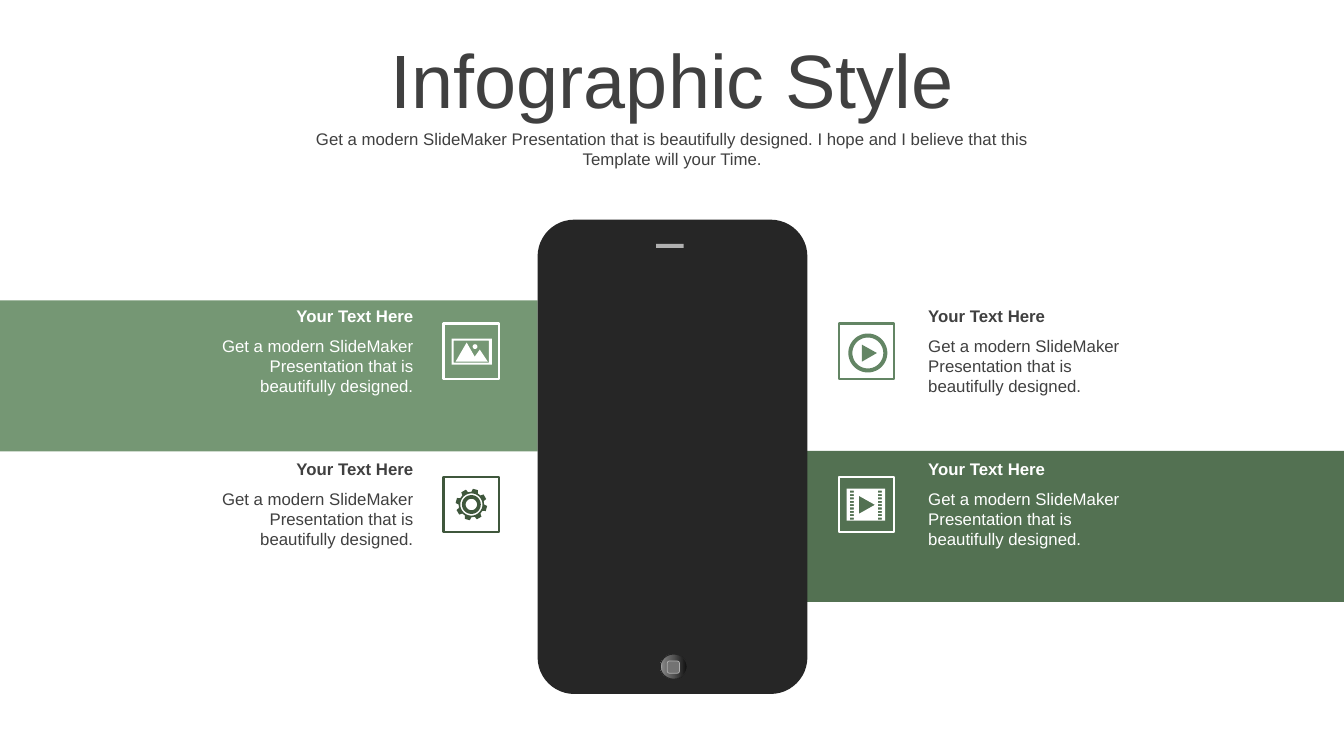
from copy import deepcopy
from dataclasses import dataclass
from math import cos, radians, sin

from pptx import Presentation
from pptx.dml.color import RGBColor
from pptx.enum.shapes import MSO_SHAPE as Shape
from pptx.enum.text import MSO_ANCHOR as Anchor, MSO_AUTO_SIZE as AutoSize, PP_ALIGN as Align
from pptx.util import Inches, Pt

Point = tuple[float, float]
Contour = list[Point]

WHITE = RGBColor(0xFF, 0xFF, 0xFF)
TEXT = RGBColor(0x40, 0x40, 0x40)
SAGE = RGBColor(0x75, 0x97, 0x74)
LEAF = RGBColor(0x63, 0x85, 0x64)
FOREST = RGBColor(0x53, 0x71, 0x52)
PINE = RGBColor(0x3F, 0x57, 0x3C)
PHONE = RGBColor(0x26, 0x26, 0x26)
SILVER = RGBColor(0xB0, 0xB0, 0xB0)
KEY = RGBColor(0x73, 0x73, 0x73)
HOME_STOPS = (
    (0, RGBColor(0x0F, 0x0F, 0x0F)),
    (0.56, RGBColor(0x59, 0x59, 0x59)),
    (0.91, RGBColor(0x80, 0x80, 0x80)),
    (1, RGBColor(0xBF, 0xBF, 0xBF)),
)

FONT = "Arial"
COLUMNS = 40  # square grid: 40 columns by 22.5 rows
ROWS = (8.94, 13.5)  # tops of the two feature rows
BAND_ROWS = (8.94, 13.42)
TILE = 1.65
BODY = "Get a modern SlideMaker Presentation that is beautifully designed."

prs = Presentation()
prs.slide_width, prs.slide_height = Inches(13.33), Inches(7.5)
slide = prs.slides.add_slide(prs.slide_layouts[6])


def grid(cells: float) -> int:
    return round(cells * prs.slide_width / COLUMNS)


@dataclass(frozen=True)
class Side:
    text_x: float
    tile_x: float
    align: Align


@dataclass(frozen=True)
class Feature:
    side: Side
    row: float
    text_color: RGBColor
    icon_color: RGBColor
    icon: list[Contour]


def paint(s, fill: RGBColor | None, line: RGBColor | None = None, width: float = 0) -> None:
    s.shadow.inherit = False
    if fill is None:
        s.fill.background()
    else:
        s.fill.solid()
        s.fill.fore_color.rgb = fill
    if line is None:
        s.line.fill.background()
    else:
        s.line.color.rgb = line
        s.line.width = Pt(width)


def add_box(kind: Shape, x: float, y: float, w: float, h: float, fill: RGBColor | None,
            line: RGBColor | None = None, width: float = 0):
    s = slide.shapes.add_shape(kind, *map(grid, (x, y, w, h)))
    paint(s, fill, line, width)
    return s


def add_text(text: str, x: float, y: float, w: float, h: float, *, size: float = 12,
             color: RGBColor = TEXT, bold: bool = False, align: Align = Align.LEFT,
             anchor: Anchor = Anchor.TOP, grow: bool = False) -> None:
    tf = slide.shapes.add_textbox(*map(grid, (x, y, w, h))).text_frame
    tf.word_wrap = True
    tf.auto_size = AutoSize.SHAPE_TO_FIT_TEXT if grow else AutoSize.NONE
    tf.vertical_anchor = anchor
    p = tf.paragraphs[0]
    p.alignment = align
    r = p.add_run()
    r.text = text
    r.font.name, r.font.size, r.font.bold = FONT, Pt(size), bold
    r.font.color.rgb = color


def rect(x: float, y: float, w: float, h: float) -> Contour:
    return [(x, y), (x + w, y), (x + w, y + h), (x, y + h)]


def polar(center: Point, radius: float, degrees: float) -> Point:
    a = radians(degrees)
    return center[0] + radius * cos(a), center[1] + radius * sin(a)


def circle(center: Point, radius: float) -> Contour:
    return [polar(center, radius, a) for a in range(0, 360, 6)]


def play_icon() -> list[Contour]:
    center = (0.87, 0.88)
    return [circle(center, 0.58), circle(center, 0.46),
            [(0.69, 0.63), (1.14, 0.88), (0.69, 1.14)]]


def film_icon() -> list[Contour]:
    holes = [rect(x, 0.42 + 0.1 * i, 0.12, 0.06) for x in (0.33, 1.17) for i in range(9)]
    return [rect(0.24, 0.36, 1.14, 0.95), [(0.6, 0.57), (0.6, 1.11), (1.08, 0.84)], *holes]


def photo_icon() -> list[Contour]:
    hills = [(0.69, 0.57), (0.93, 0.99), (1.08, 0.78), (1.32, 1.14), (0.36, 1.14)]
    return [rect(0.24, 0.45, 1.2, 0.78), rect(0.3, 0.51, 1.05, 0.66),
            hills, circle((0.94, 0.69), 0.07)]


def gear_icon() -> list[Contour]:
    center = (0.83, 0.83)
    tooth = ((-15, 0.38), (-9.5, 0.47), (9.5, 0.47), (15, 0.38))
    rim = [polar(center, radius, middle + turn)
           for middle in range(-30, 330, 45) for turn, radius in tooth]
    return [rim, *(circle(center, radius) for radius in (0.33, 0.28, 0.17))]


def add_icon(contours: list[Contour], x: float, y: float, color: RGBColor) -> None:
    """Draw all contours as one shape, so that inner contours become holes."""
    placed = [[(grid(x + px), grid(y + py)) for px, py in c] for c in contours]
    builder = slide.shapes.build_freeform(*placed[0][0])
    for i, points in enumerate(placed):
        if i:
            builder.move_to(*points[0])
        builder.add_line_segments(points[1:], close=True)
    paint(builder.convert_to_shape(), color)


def add_phone() -> None:
    body = add_box(Shape.ROUNDED_RECTANGLE, 16, 6.54, 8.03, 14.12, PHONE)
    body.adjustments[0] = 0.136
    add_box(Shape.RECTANGLE, 19.53, 7.26, 0.82, 0.12, SILVER)
    home = add_box(Shape.OVAL, 19.65, 19.47, 0.8, 0.75, PHONE, PHONE)
    home.fill.gradient()
    home.fill.gradient_angle = 180
    stops = home.fill._fill._gradFill.gsLst
    for _ in range(len(HOME_STOPS) - len(stops)):
        stops.append(deepcopy(stops[0]))
    for stop, (position, color) in zip(home.fill.gradient_stops, HOME_STOPS):
        stop.color.rgb = color
        stop.position = position
    add_box(Shape.ROUNDED_RECTANGLE, 19.86, 19.68, 0.36, 0.36, KEY, SILVER, 0.5)


def add_feature(f: Feature) -> None:
    side = f.side
    add_text("Your Text Here", side.text_x, f.row, 6.6, 0.9, color=f.text_color,
             bold=True, align=side.align, anchor=Anchor.MIDDLE)
    add_text(BODY, side.text_x, f.row + 0.9, 6.6, 2.13, color=f.text_color, align=side.align)
    tile_y = f.row + 0.69
    add_box(Shape.RECTANGLE, side.tile_x, tile_y, TILE, TILE, None, f.icon_color, 1.5)
    add_icon(f.icon, side.tile_x, tile_y, f.icon_color)


LEFT = Side(6, 13.2, Align.RIGHT)
RIGHT = Side(27.33, 24.96, Align.LEFT)
FEATURES = (
    Feature(LEFT, ROWS[0], WHITE, WHITE, photo_icon()),
    Feature(LEFT, ROWS[1], TEXT, PINE, gear_icon()),
    Feature(RIGHT, ROWS[0], TEXT, LEAF, play_icon()),
    Feature(RIGHT, ROWS[1], WHITE, WHITE, film_icon()),
)


def main() -> None:
    for x, y, color in zip((0, 24), BAND_ROWS, (SAGE, FOREST)):
        add_box(Shape.RECTANGLE, x, y, 16, 4.5, color)
    add_phone()
    for feature in FEATURES:
        add_feature(feature)
    add_text("Infographic Style", 8.07, 0.81, 23.88, 3.03, size=54, align=Align.CENTER,
             anchor=Anchor.MIDDLE, grow=True)
    add_text("Get a modern SlideMaker Presentation that is beautifully designed. "
             "I hope and I believe that this Template will your Time.",
             8.07, 3.69, 23.88, 1.5, align=Align.CENTER, grow=True)
    prs.save("out.pptx")


if __name__ == "__main__":
    main()
